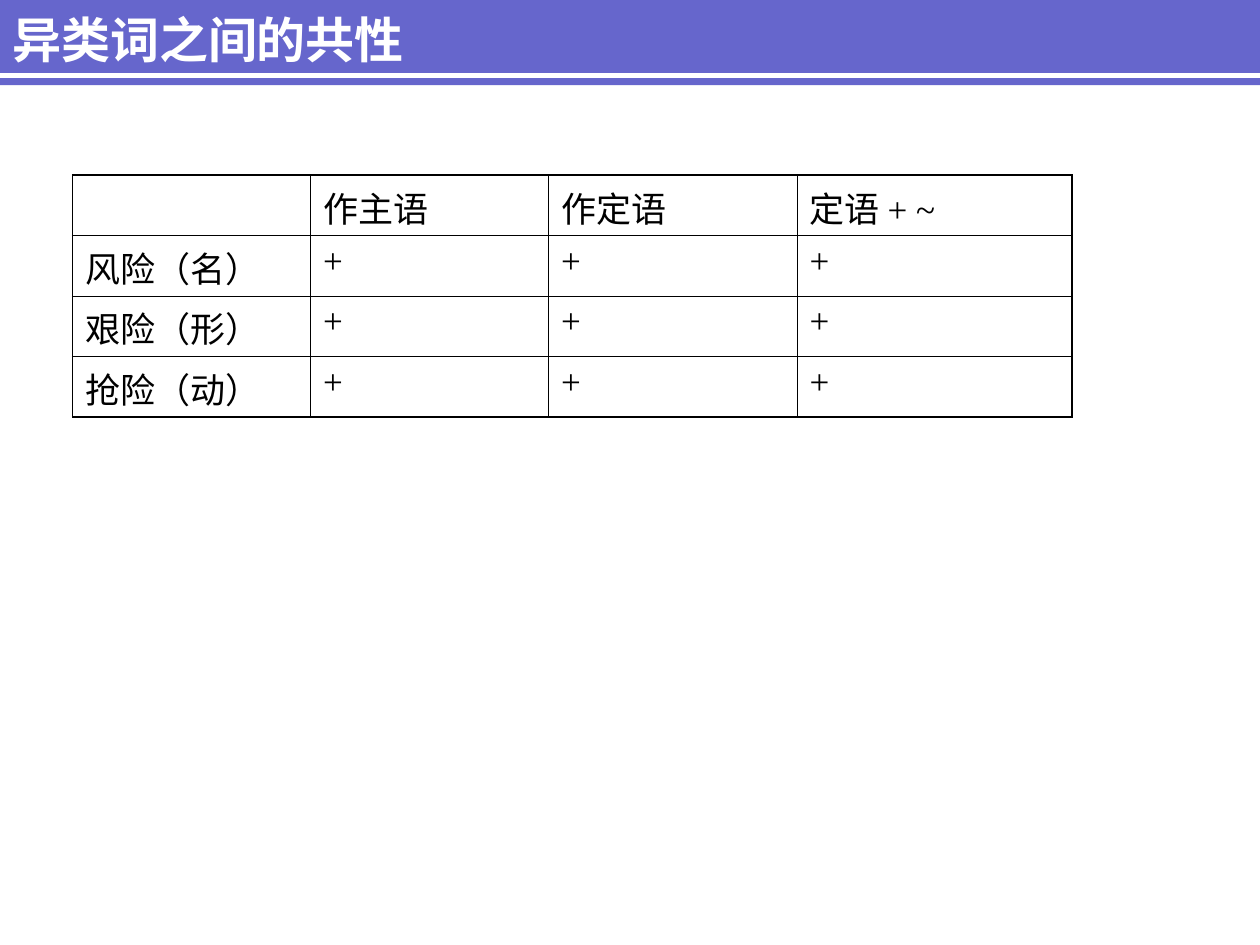
from dataclasses import dataclass

from lxml import etree
from pptx import Presentation
from pptx.dml.color import RGBColor
from pptx.enum.shapes import MSO_CONNECTOR, MSO_SHAPE
from pptx.enum.text import MSO_ANCHOR
from pptx.oxml.ns import qn
from pptx.util import Pt

STRAIGHT = MSO_CONNECTOR.STRAIGHT
RECTANGLE = MSO_SHAPE.RECTANGLE
MIDDLE = MSO_ANCHOR.MIDDLE

COLORS = {"band": "6666CC", "white": "FFFFFF", "black": "000000"}
CJK_FONT = "Noto Sans CJK SC"
LATIN_FONT = "Times New Roman"
SLIDE_W, SLIDE_H = 720, 540
OUTER, INNER = 1.08, 0.45

COLUMN_WIDTHS = [136, 136, 142, 157]
ROW_HEIGHT = 34.56
HEADERS = ["", "作主语", "作定语", "定语 + ~"]
WORDS = ["风险（名）", "艰险（形）", "抢险（动）"]
ROWS = [HEADERS] + [[word, "+", "+", "+"] for word in WORDS]


@dataclass
class TextStyle:
    size: float
    font: str
    color: str
    bold: bool = False


TITLE = TextStyle(28, CJK_FONT, "white", True)
BODY = TextStyle(20, LATIN_FONT, "black")


def rgb(name: str) -> RGBColor:
    return RGBColor.from_string(COLORS[name])


def add_run(p, text: str, style: TextStyle) -> None:
    r = p.add_run()
    r.text = text
    r.font.size = Pt(style.size)
    r.font.name = style.font
    r.font.bold = style.bold
    r.font.color.rgb = rgb(style.color)
    ea = etree.SubElement(r.font._element, qn("a:ea"))
    ea.set("typeface", CJK_FONT)


def set_border(cell, side: str, width: float) -> None:
    ln = etree.SubElement(cell._tc.get_or_add_tcPr(), qn(f"a:ln{side}"))
    ln.set("w", str(int(Pt(width))))
    fill = etree.SubElement(ln, qn("a:solidFill"))
    etree.SubElement(fill, qn("a:srgbClr")).set("val", COLORS["black"])


def add_header(s) -> None:
    band = s.shapes.add_shape(RECTANGLE, Pt(0), Pt(0), Pt(SLIDE_W), Pt(48.7))
    band.shadow.inherit = False
    band.fill.solid()
    band.fill.fore_color.rgb = rgb("band")
    band.line.fill.background()

    stripe = s.shapes.add_connector(STRAIGHT, Pt(0), Pt(43.2), Pt(SLIDE_W), Pt(43.2))
    stripe.line.color.rgb = rgb("white")
    stripe.line.width = Pt(3)
    etree.SubElement(stripe._element.spPr, qn("a:effectLst"))

    title = s.shapes.add_textbox(Pt(0), Pt(-13.7), Pt(612), Pt(72))
    tf = title.text_frame
    tf.word_wrap = True
    tf.vertical_anchor = MIDDLE
    add_run(tf.paragraphs[0], "异类词之间的共性", TITLE)


def add_word_table(s) -> None:
    n_rows, n_cols = len(ROWS), len(COLUMN_WIDTHS)
    frame = s.shapes.add_table(n_rows, n_cols, Pt(41.5), Pt(100),
                               Pt(sum(COLUMN_WIDTHS)), Pt(ROW_HEIGHT * n_rows))
    table = frame.table
    table.first_row = False
    table.horz_banding = False
    for column, width in zip(table.columns, COLUMN_WIDTHS):
        column.width = Pt(width)
    for i, texts in enumerate(ROWS):
        table.rows[i].height = Pt(ROW_HEIGHT)
        for j, text in enumerate(texts):
            cell = table.cell(i, j)
            on_edge = {"L": j == 0, "R": j == n_cols - 1,
                       "T": i == 0, "B": i == n_rows - 1}
            for side, outer in on_edge.items():
                set_border(cell, side, OUTER if outer else INNER)
            cell.fill.background()
            p = cell.text_frame.paragraphs[0]
            p.space_before = Pt(5)
            if text:
                add_run(p, text, BODY)


def main() -> None:
    prs = Presentation()
    prs.slide_width, prs.slide_height = Pt(SLIDE_W), Pt(SLIDE_H)
    s = prs.slides.add_slide(prs.slide_layouts[6])
    add_header(s)
    add_word_table(s)
    prs.save("out.pptx")


if __name__ == "__main__":
    main()
